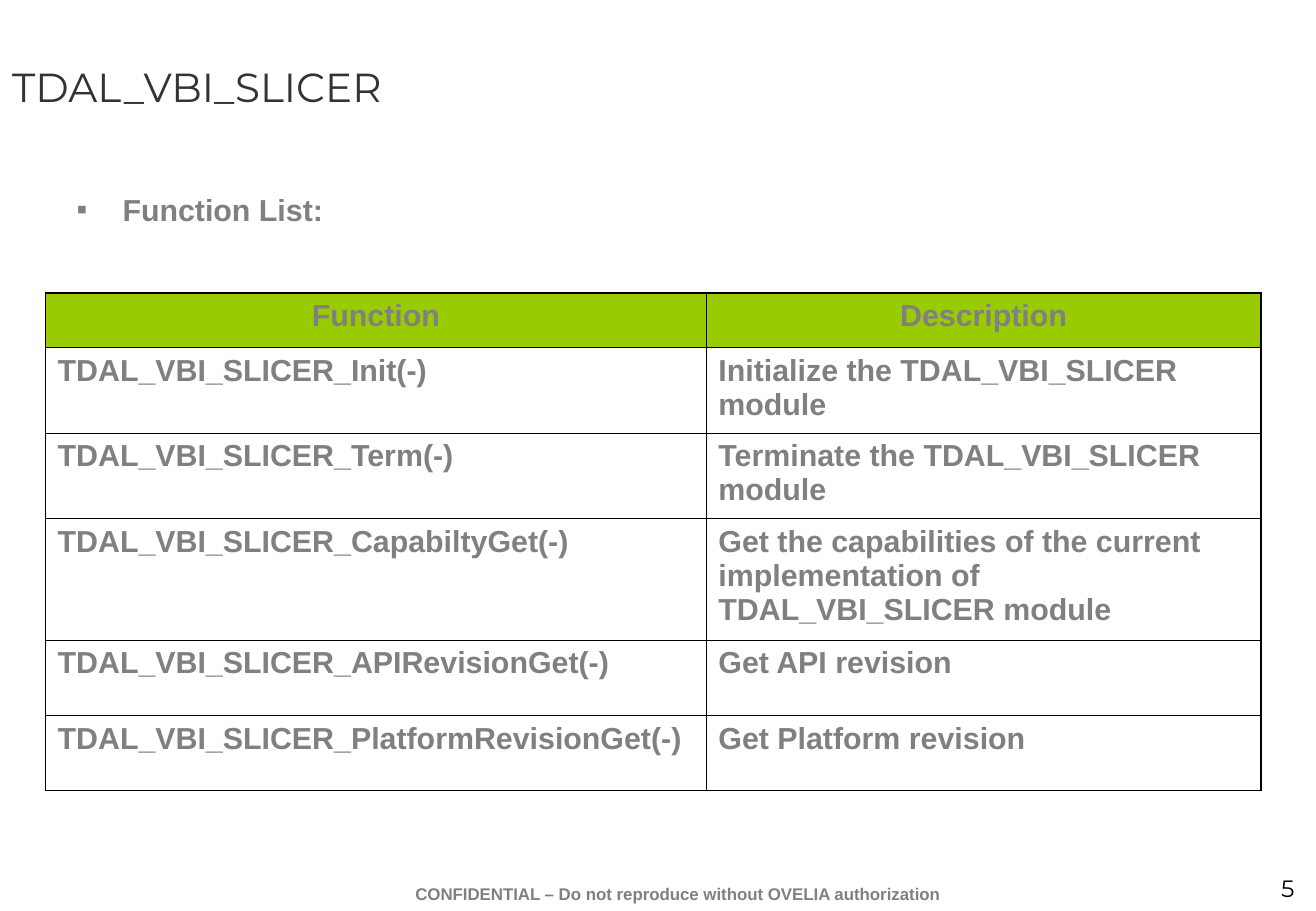
from lxml import etree
from pptx import Presentation
from pptx.dml.color import RGBColor
from pptx.enum.text import MSO_ANCHOR, MSO_AUTO_SIZE, PP_ALIGN
from pptx.oxml.ns import qn
from pptx.util import Pt

LEFT, CENTER, RIGHT = PP_ALIGN.LEFT, PP_ALIGN.CENTER, PP_ALIGN.RIGHT
TOP, MIDDLE = MSO_ANCHOR.TOP, MSO_ANCHOR.MIDDLE
NO_FIT = MSO_AUTO_SIZE.NONE

COLORS = {"title": "333333", "text": "808080", "line": "000000",
          "header": "99CC00", "cell": "FFFFFF", "number": "000000"}
TITLE_FONT = {"name": "Montserrat", "size": Pt(24), "bold": False}
NUMBER_FONT = {"name": "Montserrat", "size": Pt(14), "bold": False}
BODY_FONT = {"name": "Arial", "size": Pt(18), "bold": True}
FOOTER_FONT = {"name": "Arial", "size": Pt(10), "bold": True}
FRAME = {"margin_left": Pt(7.2), "margin_right": Pt(7.2),
         "margin_top": Pt(3.6), "margin_bottom": Pt(3.6), "word_wrap": True}

SLIDE_W, SLIDE_H = 780.13, 540
COL_WIDTHS = (391.7, 328.8)
ROW_HEIGHTS = (32.4, 50.6, 50.6, 72.2, 44.6, 44.6)
ROWS = (
    ("Function", "Description"),
    ("TDAL_VBI_SLICER_Init(-)", "Initialize the TDAL_VBI_SLICER module"),
    ("TDAL_VBI_SLICER_Term(-)", "Terminate the TDAL_VBI_SLICER module"),
    ("TDAL_VBI_SLICER_CapabiltyGet(-)",
     "Get the capabilities of the current implementation of TDAL_VBI_SLICER module"),
    ("TDAL_VBI_SLICER_APIRevisionGet(-)", "Get API revision"),
    ("TDAL_VBI_SLICER_PlatformRevisionGet(-)", "Get Platform revision"),
)


def apply(obj, values):
    """Set attributes of an object from a dict."""
    for name, value in values.items():
        setattr(obj, name, value)


def write(tf, text, font, color, align=LEFT):
    """Write one formatted paragraph into a text frame."""
    p = tf.paragraphs[0]
    apply(p, {"alignment": align, "space_before": Pt(0)})
    r = p.add_run()
    r.text = text
    apply(r.font, font)
    r.font.color.rgb = RGBColor.from_string(COLORS[color])


def place(sp, box):
    """Move a shape to a box given in points."""
    apply(sp, dict(zip(("left", "top", "width", "height"), map(Pt, box))))


def add_title(s, box, text):
    """Fill the title placeholder."""
    sp = s.shapes.title
    place(sp, box)
    apply(sp.text_frame, {**FRAME, "vertical_anchor": MIDDLE, "auto_size": NO_FIT})
    write(sp.text_frame, text, TITLE_FONT, "title")


def add_body(s, box, text):
    """Fill the body placeholder with one square-bulleted line."""
    sp = s.placeholders[1]
    place(sp, box)
    apply(sp.text_frame, {**FRAME, "margin_top": Pt(30.4),
                          "vertical_anchor": TOP, "auto_size": NO_FIT})
    pPr = sp.text_frame.paragraphs[0]._p.get_or_add_pPr()
    pPr.set("marL", str(Pt(27.2)))
    pPr.set("indent", str(-Pt(27.2)))
    bu_clr = etree.SubElement(pPr, qn("a:buClr"))
    etree.SubElement(bu_clr, qn("a:srgbClr"), val=COLORS["text"])
    etree.SubElement(pPr, qn("a:buFont"), typeface="Arial")
    etree.SubElement(pPr, qn("a:buChar"), char="▪")
    write(sp.text_frame, text, BODY_FONT, "text")


def add_borders(cell, outer):
    """Draw cell borders, thicker on the outer sides of the table."""
    tcPr = cell._tc.get_or_add_tcPr()
    for i, side in enumerate(("lnL", "lnR", "lnT", "lnB")):
        width = Pt(1.08) if side in outer else Pt(0.45)
        ln = etree.Element(qn("a:" + side), w=str(width))
        fill = etree.SubElement(ln, qn("a:solidFill"))
        etree.SubElement(fill, qn("a:srgbClr"), val=COLORS["line"])
        tcPr.insert(i, ln)


def add_function_table(s, box):
    """Build the table of functions and descriptions."""
    n_rows, n_cols = len(ROWS), len(COL_WIDTHS)
    table = s.shapes.add_table(n_rows, n_cols, *map(Pt, box)).table
    for col, width in zip(table.columns, COL_WIDTHS):
        col.width = Pt(width)
    for i, (height, texts) in enumerate(zip(ROW_HEIGHTS, ROWS)):
        table.rows[i].height = Pt(height)
        for j, text in enumerate(texts):
            cell = table.cell(i, j)
            apply(cell, {"vertical_anchor": TOP, **{
                k: v for k, v in FRAME.items() if k.startswith("margin")}})
            cell.fill.solid()
            cell.fill.fore_color.rgb = RGBColor.from_string(
                COLORS["cell" if i else "header"])
            write(cell.text_frame, text, BODY_FONT, "text", LEFT if i else CENTER)
            edges = {"lnL": j == 0, "lnR": j == n_cols - 1,
                     "lnT": i == 0, "lnB": i == n_rows - 1}
            add_borders(cell, {side for side, on in edges.items() if on})


def add_label(s, box, text, font, color, align):
    """Add a one-line text box."""
    tf = s.shapes.add_textbox(*map(Pt, box)).text_frame
    apply(tf, FRAME)
    write(tf, text, font, color, align)


def add_footer(s, box):
    """Add the confidentiality notice and the slide number."""
    x, y, w, h = box
    add_label(s, (x + 191.8, y + 5.7, 419.8, 20.2),
              "CONFIDENTIAL – Do not reproduce without OVELIA authorization",
              FOOTER_FONT, "text", CENTER)
    add_label(s, (x + w - 89.2, y, 83.5, h), "5", NUMBER_FONT, "number", RIGHT)


def main():
    """Build and save the slide."""
    prs = Presentation()
    prs.slide_width, prs.slide_height = Pt(SLIDE_W), Pt(SLIDE_H)
    s = prs.slides.add_slide(prs.slide_layouts[1])
    add_title(s, (0, 0, 780, 102), "TDAL_VBI_SLICER")
    add_body(s, (38.2, 82.8, 713.5, 356.4), "Function List:")
    add_function_table(s, (27, 173.7, sum(COL_WIDTHS), sum(ROW_HEIGHTS)))
    add_footer(s, (0, 514.4, SLIDE_W, 24))
    prs.save("out.pptx")


if __name__ == "__main__":
    main()
